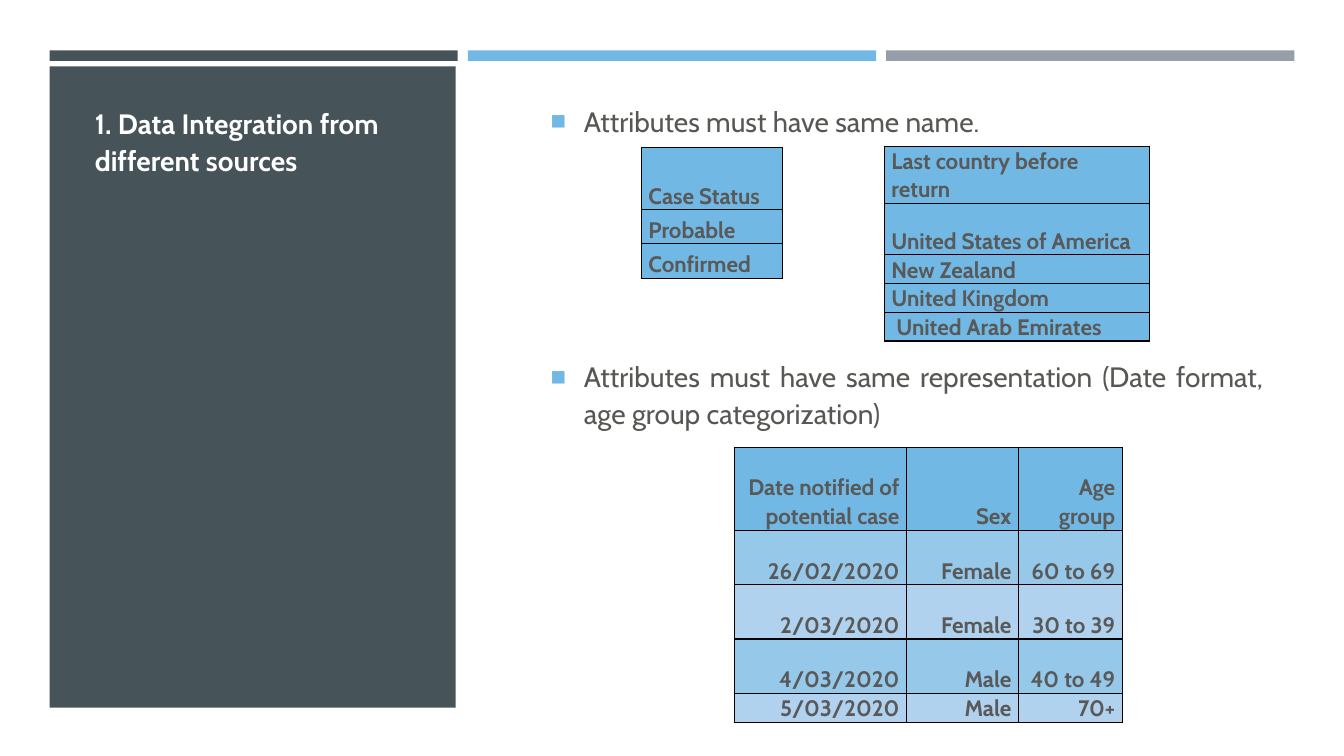
import dataclasses

import pptx
import pptx.dml.color
import pptx.enum.shapes
import pptx.enum.text
import pptx.oxml
import pptx.oxml.ns
import pptx.util

ALIGN = pptx.enum.text.PP_ALIGN
ANCHOR = pptx.enum.text.MSO_ANCHOR
COLUMNS, ROWS = 80, 45


@dataclasses.dataclass(frozen=True)
class Theme:
    font: str = "Cabin"
    dark: str = "465359"
    blue: str = "71B9E4"
    gray: str = "969FA7"
    band_dark: str = "96C8EA"
    band_light: str = "B0D2EE"
    white: str = "FFFFFF"
    body_text: str = "585753"
    table_text: str = "595959"
    border: str = "000000"
    text_size: int = 20
    table_size: int = 16


def rgb(color):
    return pptx.dml.color.RGBColor.from_string(color)


def apply_format(target, values):
    for name, value in values.items():
        setattr(target, name, value)


def append_xml(parent, markup):
    namespace = pptx.oxml.ns.nsdecls("a")
    parent.append(pptx.oxml.parse_xml(markup.replace("XMLNS", namespace, 1)))


class SlideBuilder:
    """Draws on one slide; lengths are in grid columns and rows."""

    def __init__(self, presentation, theme):
        self.theme = theme
        self.column = presentation.slide_width / COLUMNS
        self.row = presentation.slide_height / ROWS
        self.slide = presentation.slides.add_slide(presentation.slide_layouts[1])

    def box(self, left, top, width, height):
        return {
            "left": round(left * self.column),
            "top": round(top * self.row),
            "width": round(width * self.column),
            "height": round(height * self.row),
        }

    def add_text(self, paragraph, text, size, color, bold, paragraph_format):
        run = paragraph.add_run()
        run.text = text
        apply_format(run.font, {
            "name": self.theme.font, "size": pptx.util.Pt(size), "bold": bold,
        })
        run.font.color.rgb = rgb(color)
        apply_format(paragraph, paragraph_format)

    def panel(self, box, color):
        """Add a plain rectangle behind the placeholders."""
        shape = self.slide.shapes.add_shape(
            pptx.enum.shapes.MSO_SHAPE.RECTANGLE, **self.box(*box))
        shape.shadow.inherit = False
        shape.fill.solid()
        shape.fill.fore_color.rgb = rgb(color)
        shape.line.fill.background()
        self.slide.shapes._spTree.insert(2, shape._element)

    def place(self, placeholder, box):
        apply_format(placeholder, self.box(*box))
        apply_format(placeholder.text_frame, {
            "word_wrap": True,
            "auto_size": pptx.enum.text.MSO_AUTO_SIZE.NONE,
            "vertical_anchor": ANCHOR.TOP,
        })
        return placeholder.text_frame

    def title(self, text, box):
        frame = self.place(self.slide.shapes.title, box)
        self.add_text(frame.paragraphs[0], text, self.theme.text_size, self.theme.white, True, {
            "alignment": ALIGN.LEFT, "line_spacing": 1.1,
        })

    def bullets(self, items, box):
        """Fill the body with (text, points of space before) items."""
        frame = self.place(self.slide.placeholders[1], box)
        for index, (text, space_before) in enumerate(items):
            paragraph = frame.add_paragraph() if index else frame.paragraphs[0]
            self.add_text(paragraph, text, self.theme.text_size, self.theme.body_text, False, {
                "alignment": ALIGN.JUSTIFY,
                "line_spacing": 1.1,
                "space_before": pptx.util.Pt(space_before),
                "space_after": pptx.util.Pt(0),
            })
            properties = paragraph._p.get_or_add_pPr()
            indent = pptx.util.Inches(0.33)
            properties.set("marL", str(indent))
            properties.set("indent", str(-indent))
            for markup in (
                f'<a:buClr XMLNS><a:srgbClr val="{self.theme.blue}"/></a:buClr>',
                '<a:buSzPct XMLNS val="92000"/>',
                '<a:buFont XMLNS typeface="Arial"/>',
                '<a:buChar XMLNS char="■"/>',
            ):
                append_xml(properties, markup)

    def table(self, left, top, widths, heights, rows, row_fills, alignment=ALIGN.LEFT):
        box = self.box(left, top, sum(widths), sum(heights))
        table = self.slide.shapes.add_table(len(rows), len(widths), **box).table
        for column, width in zip(table.columns, widths):
            column.width = round(width * self.column)
        for row, height, texts, fill in zip(table.rows, heights, rows, row_fills):
            row.height = round(height * self.row)
            for cell, text in zip(row.cells, texts):
                self.cell(cell, text, fill, alignment)

    def cell(self, cell, text, fill, alignment):
        side, edge = pptx.util.Inches(0.07), pptx.util.Inches(0)
        apply_format(cell, {
            "margin_left": side, "margin_right": side,
            "margin_top": edge, "margin_bottom": edge,
            "vertical_anchor": ANCHOR.BOTTOM,
        })
        for border in ("lnL", "lnR", "lnT", "lnB"):
            append_xml(
                cell._tc.get_or_add_tcPr(),
                f'<a:{border} XMLNS w="{pptx.util.Pt(1)}"><a:solidFill>'
                f'<a:srgbClr val="{self.theme.border}"/></a:solidFill></a:{border}>')
        cell.fill.solid()
        cell.fill.fore_color.rgb = rgb(fill)
        self.add_text(
            cell.text_frame.paragraphs[0], text, self.theme.table_size,
            self.theme.table_text, True, {"alignment": alignment, "line_spacing": 1.06})


def main():
    presentation = pptx.Presentation()
    apply_format(presentation, {
        "slide_width": pptx.util.Inches(13.33), "slide_height": pptx.util.Inches(7.5),
    })
    theme = Theme()
    builder = SlideBuilder(presentation, theme)

    margin, bar_width, bar_step = 2.95, 24.3, 24.9
    for index, color in enumerate((theme.dark, theme.blue, theme.gray)):
        builder.panel((margin + index * bar_step, 3, bar_width, 0.63), color)
    builder.panel((margin, 3.96, 24.18, 38.16), theme.dark)

    builder.title("1. Data Integration from different sources", (5.04, 5.82, 19.92, 5.94))
    builder.bullets([
        ("Attributes must have same name.", 0),
        ("Attributes must have same representation (Date format, age group categorization)", 156),
    ], (32.18, 5.7, 43.62, 33))

    statuses = [["Case Status"], ["Probable"], ["Confirmed"]]
    builder.table(38.18, 8.76, [8.4], [3.72, 2.04, 2.04], statuses, [theme.blue] * 3)

    countries = [
        ["Last country before return"],
        ["United States of America"],
        ["New Zealand"],
        ["United Kingdom"],
        [" United Arab Emirates"],
    ]
    builder.table(52.64, 8.7, [15.78], [3.06] * 2 + [1.68] * 3, countries, [theme.blue] * 5)

    cases = [
        ["Date notified of potential case", "Sex", "Age group"],
        ["26/02/2020", "Female", "60 to 69"],
        ["2/03/2020", "Female", "30 to 39"],
        ["4/03/2020", "Male", "40 to 49"],
        ["5/03/2020", "Male", "70+"],
    ]
    bands = [theme.blue] + [theme.band_dark, theme.band_light] * 2
    builder.table(43.7, 26.64, [10.26, 6.66, 6.18], [4.92] + [3.24] * 3 + [1.62],
                  cases, bands, ALIGN.RIGHT)

    presentation.save("out.pptx")


if __name__ == "__main__":
    main()
